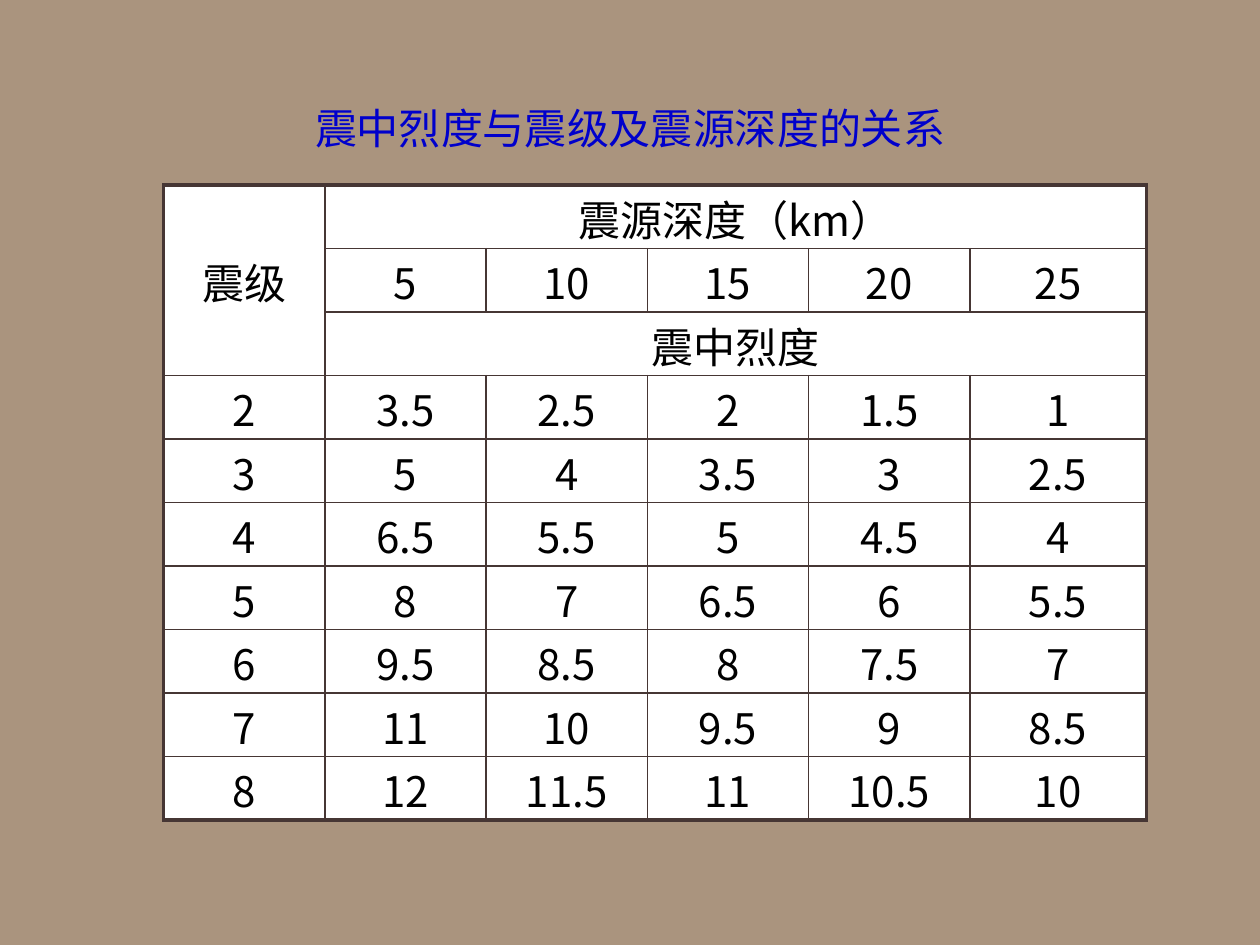
"""Build a slide with a table of epicentral intensity by magnitude and focal depth."""
from lxml import etree
from pptx import Presentation
from pptx import util as u
from pptx.dml.color import RGBColor
from pptx.enum import text
from pptx.oxml import ns

HEADER_ROWS = [
    ["震级", "震源深度（km）", "", "", "", ""],
    ["", "5", "10", "15", "20", "25"],
    ["", "震中烈度", "", "", "", ""],
]
INTENSITY_ROWS = [
    ["2", "3.5", "2.5", "2", "1.5", "1"],
    ["3", "5", "4", "3.5", "3", "2.5"],
    ["4", "6.5", "5.5", "5", "4.5", "4"],
    ["5", "8", "7", "6.5", "6", "5.5"],
    ["6", "9.5", "8.5", "8", "7.5", "7"],
    ["7", "11", "10", "9.5", "9", "8.5"],
    ["8", "12", "11.5", "11", "10.5", "10"],
]
HEADER_SPANS = [((0, 0), (2, 0)), ((0, 1), (0, 5)), ((2, 1), (2, 5))]


def color(value):
    return RGBColor.from_string(value)


class SlideBuilder:
    font_name = "Noto Sans CJK SC"
    font_size = u.Pt(24)
    background = "AA947E"
    title_color = "0000CC"
    text_color = "000000"
    cell_color = "FFFFFF"
    border_color = "463634"
    inner_border = u.Pt(1)
    outer_border = u.Pt(2.25)

    def __init__(self, presentation):
        self.slide = presentation.slides.add_slide(presentation.slide_layouts[5])
        fill = self.slide.background.fill
        fill.solid()
        fill.fore_color.rgb = color(self.background)

    def format_paragraph(self, paragraph, font_color):
        paragraph.alignment = text.PP_ALIGN.CENTER
        paragraph.space_before = u.Pt(0)
        font = paragraph.font
        font.name = self.font_name
        font.size = self.font_size
        font.color.rgb = color(font_color)
        properties = paragraph._p.pPr.find(ns.qn("a:defRPr"))
        etree.SubElement(properties, ns.qn("a:ea"), typeface=self.font_name)

    def title(self, wording, left, top, width, height):
        shape = self.slide.shapes.title
        shape.left, shape.top, shape.width, shape.height = left, top, width, height
        frame = shape.text_frame
        frame.text = wording
        frame.word_wrap = True
        frame.auto_size = text.MSO_AUTO_SIZE.NONE
        frame.vertical_anchor = text.MSO_ANCHOR.MIDDLE
        frame.margin_top = frame.margin_bottom = 0
        self.format_paragraph(frame.paragraphs[0], self.title_color)

    def border(self, cell, side, outer):
        width = self.outer_border if outer else self.inner_border
        properties = cell._tc.get_or_add_tcPr()
        line = etree.SubElement(properties, ns.qn(f"a:ln{side}"), w=str(int(width)))
        fill = etree.SubElement(line, ns.qn("a:solidFill"))
        etree.SubElement(fill, ns.qn("a:srgbClr"), val=self.border_color)

    def cell(self, cell, wording, outer_sides):
        for side in "LRTB":
            self.border(cell, side, side in outer_sides)
        cell.fill.solid()
        cell.fill.fore_color.rgb = color(self.cell_color)
        cell.vertical_anchor = text.MSO_ANCHOR.MIDDLE
        cell.margin_top, cell.margin_bottom = u.Cm(0.05), 0
        cell.text = wording
        self.format_paragraph(cell.text_frame.paragraphs[0], self.text_color)

    def table(self, rows, spans, left, top, column_widths, row_height):
        row_count, column_count = len(rows), len(column_widths)
        table = self.slide.shapes.add_table(
            row_count, column_count, left, top, sum(column_widths), row_height * row_count
        ).table
        for column, width in zip(table.columns, column_widths):
            column.width = width
        for row in table.rows:
            row.height = row_height
        for first, last in spans:
            table.cell(*first).merge(table.cell(*last))
        for row_index, row in enumerate(rows):
            for column_index, wording in enumerate(row):
                cell = table.cell(row_index, column_index)
                edges = {
                    "L": column_index == 0,
                    "R": column_index + cell.span_width == column_count,
                    "T": row_index == 0,
                    "B": row_index + cell.span_height == row_count,
                }
                self.cell(cell, wording, [side for side in edges if edges[side]])


def main():
    presentation = Presentation()
    presentation.slide_width, presentation.slide_height = u.Cm(25.4), u.Cm(19.05)
    builder = SlideBuilder(presentation)
    builder.title("震中烈度与震级及震源深度的关系", u.Cm(4.7), u.Cm(1.93), u.Cm(16), u.Cm(1.27))
    builder.table(
        HEADER_ROWS + INTENSITY_ROWS, HEADER_SPANS,
        u.Cm(3.3), u.Cm(3.73), [u.Cm(3.25)] * 5 + [u.Cm(3.56)], u.Cm(1.28),
    )
    presentation.save("out.pptx")


if __name__ == "__main__":
    main()
